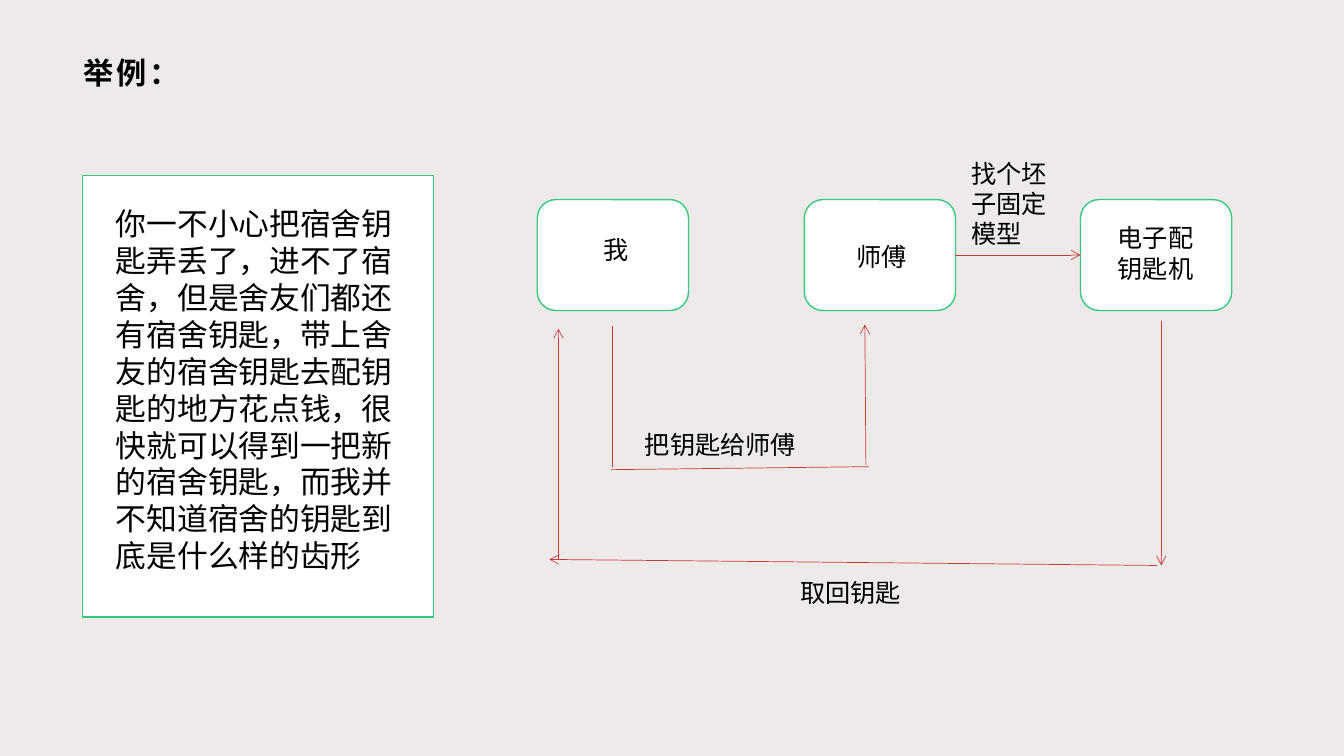
from dataclasses import dataclass

import lxml.etree
import pptx
import pptx.dml.color
import pptx.enum.shapes
import pptx.enum.text
import pptx.oxml.ns
import pptx.util

RGBColor = pptx.dml.color.RGBColor
BACKGROUND = RGBColor(0xEF, 0xEA, 0xEA)
WHITE = RGBColor(0xFF, 0xFF, 0xFF)
BLACK = RGBColor(0x00, 0x00, 0x00)
GREEN = RGBColor(0x38, 0xC9, 0x7C)
RED = RGBColor(0xC9, 0x39, 0x3A)

WIDTH = pptx.util.Inches(13.333)
HEIGHT = pptx.util.Inches(7.5)
SHAPES = pptx.enum.shapes.MSO_SHAPE
FRAME = {
    "word_wrap": True,
    "auto_size": pptx.enum.text.MSO_AUTO_SIZE.NONE,
}
FONT = {"name": "Arial", "size": pptx.util.Pt(18), "bold": False}


# All lengths are percentages of the slide's width (x, w) and height (y, h).
@dataclass
class Area:
    x: float
    y: float
    w: float
    h: float


@dataclass
class Label:
    text: str
    area: Area
    size: float = 18


@dataclass
class Link:
    x1: float
    y1: float
    x2: float
    y2: float
    arrow: bool = True


TITLE = Label("举例：", Area(5.48, 6.4, 89.03, 6.4), 21.6)
PANEL = Area(6.15, 23.2, 26.1, 58.4)
ACTORS = [Area(x, 26.4, 11.25, 14.67) for x in (39.98, 59.85, 80.4)]

LABELS = [
    Label(
        "你一不小心把宿舍钥匙弄丢了，进不了宿舍，但是舍友们都还有宿舍钥匙，"
        "带上舍友的宿舍钥匙去配钥匙的地方花点钱，很快就可以得到一把新的宿舍钥匙，"
        "而我并不知道宿舍的钥匙到底是什么样的齿形",
        Area(7.88, 26.4, 22.73, 50.67),
        22,
    ),
    Label("我", Area(44.18, 30.4, 8.7, 5.33)),
    Label("师傅", Area(63, 31.2, 5.7, 5.33)),
    Label("电子配钥匙机", Area(82.43, 28.8, 8.18, 9.47)),
    Label("把钥匙给师傅", Area(47.25, 56.13, 15.38, 5.33)),
    Label("找个坯子固定模型", Area(71.55, 20.27, 8.03, 13.47)),
    Label("取回钥匙", Area(58.8, 75.73, 22.65, 5.33)),
]

LINKS = [
    # Handing the key over
    Link(45.6, 43.07, 45.6, 61.73, arrow=False),
    Link(45.45, 62.13, 64.65, 61.73, arrow=False),
    Link(64.43, 61.47, 64.35, 42.93),
    # Choosing a blank
    Link(71.03, 33.73, 80.4, 33.73),
    # Fetching the key back
    Link(86.4, 42.4, 86.4, 74.8),
    Link(86.1, 74.8, 40.88, 74),
    Link(41.55, 74, 41.55, 43.47),
]


def across(share: float) -> int:
    return round(WIDTH * share / 100)


def down(share: float) -> int:
    return round(HEIGHT * share / 100)


def place(area: Area) -> tuple[int, int, int, int]:
    return across(area.x), down(area.y), across(area.w), down(area.h)


def apply(target, values: dict) -> None:
    for name, value in values.items():
        setattr(target, name, value)


def write(sp, label: Label, **font_values):
    """Put the label's text into a shape and return its run."""
    tf = sp.text_frame
    apply(tf, FRAME)
    p = tf.paragraphs[0]
    p.alignment = pptx.enum.text.PP_ALIGN.LEFT
    r = p.add_run()
    r.text = label.text
    apply(r.font, FONT | {"size": pptx.util.Pt(label.size)} | font_values)
    r.font.color.rgb = BLACK
    return r


def add_title(slide, label: Label) -> None:
    sp = slide.shapes.title
    box = zip(("left", "top", "width", "height"), place(label.area))
    apply(sp, dict(box))
    r = write(sp, label, bold=True)
    sp.text_frame.vertical_anchor = pptx.enum.text.MSO_ANCHOR.MIDDLE
    r._r.get_or_add_rPr().set("spc", "200")


def add_box(slide, area: Area, kind: SHAPES) -> None:
    sp = slide.shapes.add_shape(kind, *place(area))
    sp.shadow.inherit = False
    sp.fill.solid()
    sp.fill.fore_color.rgb = WHITE
    sp.line.color.rgb = GREEN
    sp.line.width = pptx.util.Pt(1)


def add_label(slide, label: Label) -> None:
    write(slide.shapes.add_textbox(*place(label.area)), label)


def add_link(slide, link: Link) -> None:
    sp = slide.shapes.add_connector(
        pptx.enum.shapes.MSO_CONNECTOR.STRAIGHT,
        across(link.x1), down(link.y1), across(link.x2), down(link.y2),
    )
    sp.line.color.rgb = RED
    sp.line.width = pptx.util.Pt(0.5)
    qn = pptx.oxml.ns.qn
    if link.arrow:
        ln = sp.line._get_or_add_ln()
        lxml.etree.SubElement(ln, qn("a:tailEnd"), type="arrow")
    lxml.etree.SubElement(sp._element.spPr, qn("a:effectLst"))


def main() -> None:
    prs = pptx.Presentation()
    apply(prs, {"slide_width": WIDTH, "slide_height": HEIGHT})
    slide = prs.slides.add_slide(prs.slide_layouts.get_by_name("Title Only"))
    slide.background.fill.solid()
    slide.background.fill.fore_color.rgb = BACKGROUND

    add_title(slide, TITLE)

    # Story panel and the three actors
    add_box(slide, PANEL, SHAPES.RECTANGLE)
    for area in ACTORS:
        add_box(slide, area, SHAPES.ROUNDED_RECTANGLE)

    # Flow between the actors
    for link in LINKS:
        add_link(slide, link)
    for label in LABELS:
        add_label(slide, label)

    prs.save("out.pptx")


if __name__ == "__main__":
    main()
